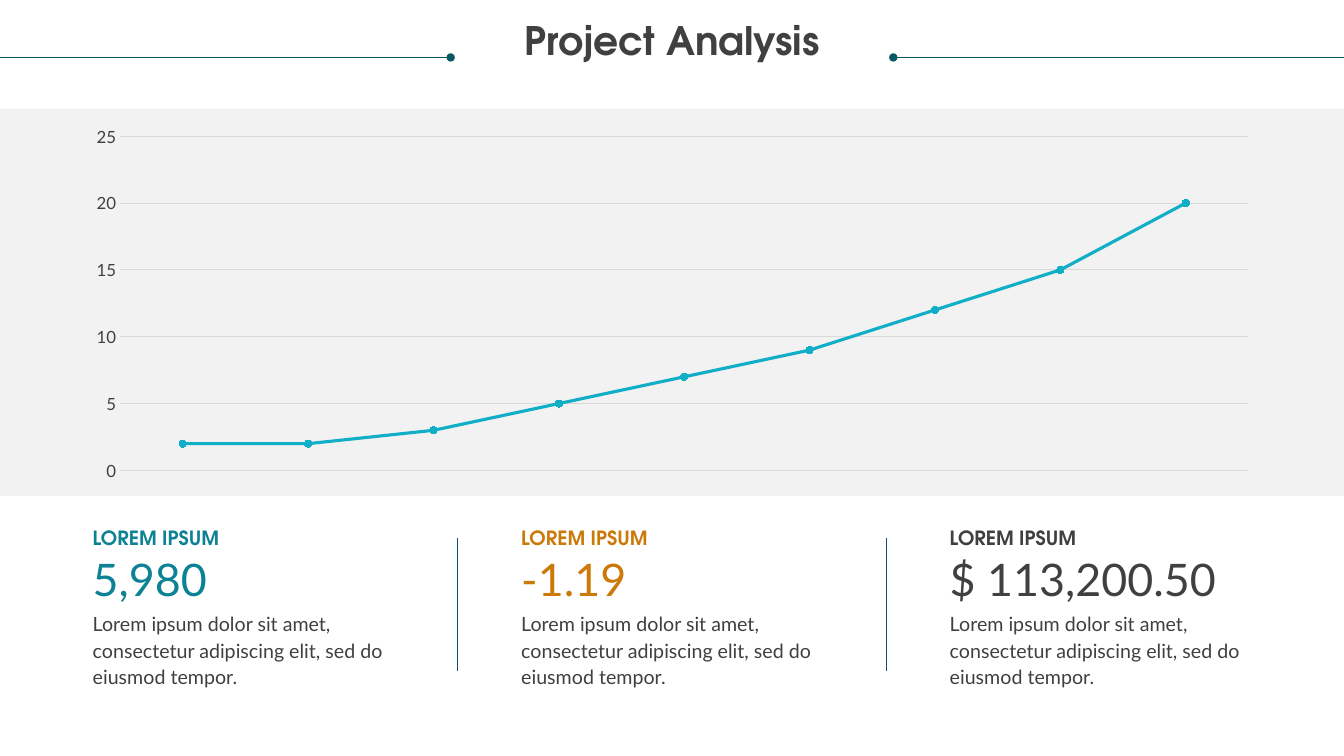
from lxml import etree
from pptx import Presentation
from pptx.chart.data import CategoryChartData
from pptx.dml.color import RGBColor
from pptx.enum.chart import XL_CHART_TYPE, XL_MARKER_STYLE, XL_TICK_MARK
from pptx.enum.shapes import MSO_CONNECTOR, MSO_SHAPE
from pptx.enum.text import MSO_AUTO_SIZE, PP_ALIGN
from pptx.oxml.ns import qn
from pptx.util import Pt

PX = 9144
SLIDE_WIDTH, SLIDE_HEIGHT = 1333, 750

LINE_MARKERS = XL_CHART_TYPE.LINE_MARKERS
CIRCLE = XL_MARKER_STYLE.CIRCLE
NO_TICKS = XL_TICK_MARK.NONE
STRAIGHT = MSO_CONNECTOR.STRAIGHT
RECTANGLE = MSO_SHAPE.RECTANGLE
GROW_TO_TEXT = MSO_AUTO_SIZE.SHAPE_TO_FIT_TEXT
LEFT, CENTER = PP_ALIGN.LEFT, PP_ALIGN.CENTER

PANEL_GRAY = RGBColor(0xF2, 0xF2, 0xF2)
GRID_GRAY = RGBColor(0xD9, 0xD9, 0xD9)
DARK_GRAY = RGBColor(0x40, 0x40, 0x40)
DEEP_TEAL = RGBColor(0x08, 0x57, 0x64)
TEAL = RGBColor(0x0D, 0x82, 0x95)
CYAN = RGBColor(0x11, 0xAE, 0xC7)
ORANGE = RGBColor(0xCB, 0x7A, 0x09)

HEADING_FONT, BODY_FONT = "TeX Gyre Adventor", "Lato"
BODY_SPACING = Pt(19)
PROGRESS = (2, 2, 3, 5, 7, 9, 12, 15, 20)
FIGURES = (("5,980", TEAL), ("-1.19", ORANGE), ("$ 113,200.50", DARK_GRAY))
DESCRIPTION = ("Lorem ipsum dolor sit amet, consectetur adipiscing elit, "
               "sed do eiusmod tempor.")


def scale(*lengths):
    """Turn px lengths into EMU."""
    return [length * PX for length in lengths]


def add_text(slide, box, text, size, font_name, color, bold=False,
             align=LEFT, spacing=None):
    """Add a one-paragraph text box without insets."""
    frame = slide.shapes.add_textbox(*scale(*box)).text_frame
    frame.margin_left = frame.margin_right = 0
    frame.margin_top = frame.margin_bottom = 0
    frame.word_wrap = True
    frame.auto_size = GROW_TO_TEXT
    paragraph = frame.paragraphs[0]
    paragraph.alignment = align
    paragraph.line_spacing = spacing
    run = paragraph.add_run()
    run.text = text
    run.font.size = Pt(size)
    run.font.name = font_name
    run.font.bold = bold
    run.font.color.rgb = color


def add_rule(slide, start, end, dot_end=None):
    """Add a thin line, with a dot on the named end if there is one."""
    rule = slide.shapes.add_connector(STRAIGHT, *scale(*start, *end))
    rule.line.color.rgb = DEEP_TEAL
    rule.line.width = Pt(0.5)
    properties = rule._element.spPr
    if dot_end:
        line = properties.find(qn("a:ln"))
        etree.SubElement(line, qn(dot_end)).set("type", "oval")
    etree.SubElement(properties, qn("a:effectLst"))


def add_header(slide, box):
    """Add the title between two dotted rules."""
    left, top, width, height = box
    rule_top = top + 57
    add_rule(slide, (left, rule_top), (left + 447, rule_top), "a:tailEnd")
    add_rule(slide, (left + 886, rule_top), (left + width, rule_top),
             "a:headEnd")
    add_text(slide, (left + 25, top + 21, width - 50, height - 21),
             "Project Analysis", 28, HEADING_FONT, DARK_GRAY, True, CENTER, 0.9)


def style_axes(chart):
    """Hide the category axis and style the value axis."""
    chart.category_axis.visible = False
    axis = chart.value_axis
    axis.minimum_scale, axis.maximum_scale, axis.major_unit = 0, 25, 5
    axis.major_tick_mark = axis.minor_tick_mark = NO_TICKS
    axis.format.line.fill.background()
    axis.major_gridlines.format.line.color.rgb = GRID_GRAY
    axis.major_gridlines.format.line.width = Pt(0.75)
    font = axis.tick_labels.font
    font.size, font.name = Pt(12), BODY_FONT
    font.color.rgb = DARK_GRAY


def add_chart_panel(slide, box):
    """Add the gray band with the line chart on it."""
    left, top, width, height = box
    panel = slide.shapes.add_shape(RECTANGLE, *scale(*box))
    panel.shadow.inherit = False
    panel.fill.solid()
    panel.fill.fore_color.rgb = PANEL_GRAY
    panel.line.fill.background()

    data = CategoryChartData()
    data.categories = [str(number + 1) for number in range(len(PROGRESS))]
    data.add_series("Series 1", PROGRESS)
    chart_box = (left + 72, top + 10, width - 143, height - 18)
    chart = slide.shapes.add_chart(LINE_MARKERS, *scale(*chart_box), data).chart
    chart.has_legend = chart.has_title = False
    chart.font.size, chart.font.name = Pt(10), BODY_FONT
    style_axes(chart)

    chart.plots[0].vary_by_categories = False
    series = chart.plots[0].series[0]
    series.smooth = False
    series.format.line.color.rgb = CYAN
    series.format.line.width = Pt(2.25)
    series.marker.style, series.marker.size = CIRCLE, 5
    series.marker.format.fill.solid()
    series.marker.format.fill.fore_color.rgb = CYAN
    series.marker.format.line.color.rgb = CYAN


def add_figure(slide, box, value, color):
    """Add a heading, a large value and a description."""
    left, top, width, height = box
    add_text(slide, (left, top, width, 24), "LOREM IPSUM", 14,
             HEADING_FONT, color, bold=True, spacing=BODY_SPACING)
    add_text(slide, (left, top + 28, width, 54), value, 32, BODY_FONT, color)
    add_text(slide, (left, top + 85, width, height - 85), DESCRIPTION, 14,
             BODY_FONT, DARK_GRAY, spacing=BODY_SPACING)


def add_figures(slide, box):
    """Add the columns of figures with dividers between them."""
    left, top, width, height = box
    column_width = 300
    pitch = (width - column_width) // (len(FIGURES) - 1)
    for index, (value, color) in enumerate(FIGURES):
        column = left + index * pitch
        add_figure(slide, (column, top, column_width, height), value, color)
        if index:
            divider = column - 63
            add_rule(slide, (divider, top + 15), (divider, top + 147))


def main():
    """Build and save the slide."""
    presentation = Presentation()
    presentation.slide_width, presentation.slide_height = scale(
        SLIDE_WIDTH, SLIDE_HEIGHT)
    slide = presentation.slides.add_slide(presentation.slide_layouts[6])
    add_chart_panel(slide, (0, 108, SLIDE_WIDTH, 384))
    add_header(slide, (0, 0, SLIDE_WIDTH, 106))
    add_figures(slide, (92, 519, 1150, 163))
    presentation.save("out.pptx")


if __name__ == "__main__":
    main()
